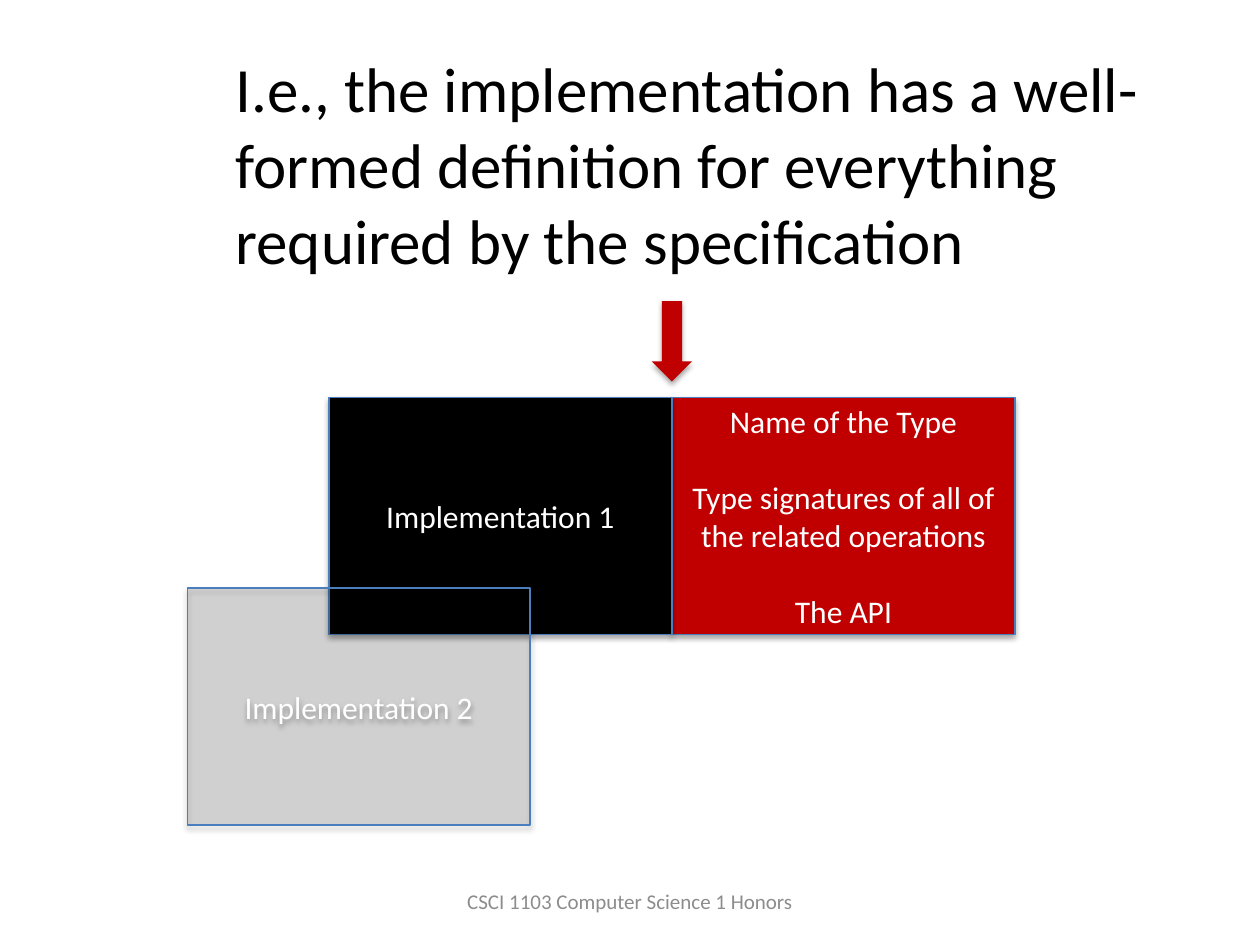
import pptx
import pptx.util
import pptx.dml.color
import pptx.enum.shapes
import pptx.enum.text
import pptx.oxml
import pptx.oxml.ns
import lxml.etree

Pt = pptx.util.Pt
SHAPE = pptx.enum.shapes.MSO_SHAPE
ALIGN = pptx.enum.text.PP_ALIGN
ANCHOR = pptx.enum.text.MSO_ANCHOR
qn = pptx.oxml.ns.qn
SHADOW = (
    '<a:outerShdw xmlns:a="http://schemas.openxmlformats.org/drawingml/2006/main"'
    ' blurRad="39370" dist="22860" dir="5400000" rotWithShape="0">'
    '<a:srgbClr val="000000"><a:alpha val="35000"/></a:srgbClr></a:outerShdw>'
)


def paint(fmt, color):
    """Give a fill or a font a solid colour."""
    if hasattr(fmt, "solid"):
        fmt.solid()
        fmt.fore_color.rgb = pptx.dml.color.RGBColor.from_string(color)
    else:
        fmt.color.rgb = pptx.dml.color.RGBColor.from_string(color)


def write(sp, lines, size, color, align, anchor, gap=0):
    """Write one paragraph per line, with a gap between paragraphs."""
    tf = sp.text_frame
    tf.word_wrap = True
    tf.vertical_anchor = anchor
    for i, line in enumerate(lines):
        p = tf.paragraphs[0] if i == 0 else tf.add_paragraph()
        p.alignment = align
        p.space_before = Pt(gap if i else 0)
        r = p.add_run()
        r.text = line
        r.font.name = "Calibri"
        r.font.size = Pt(size)
        paint(r.font, color)


prs = pptx.Presentation()
prs.slide_width, prs.slide_height = Pt(720), Pt(540)
s = prs.slides.add_slide(prs.slide_layouts[6])

# Footer
sp = s.shapes.add_textbox(Pt(246), Pt(500.5), Pt(228), Pt(28.8))
write(sp, ["CSCI 1103 Computer Science 1 Honors"], 12, "8C8C8C",
      ALIGN.CENTER, ANCHOR.MIDDLE)

# Specification, its two implementations, and the arrow to where they meet
box_w, box_h = 196, 135.5
seam, top = 384, 227
api = ["Name of the Type", "Type signatures of all of the related operations", "The API"]
blocks = [
    (SHAPE.RECTANGLE, seam, top, box_w, box_h, "C00000", 100, api),
    (SHAPE.RECTANGLE, seam - box_w, top, box_w, box_h, "000000", 100, ["Implementation 1"]),
    (SHAPE.RECTANGLE, 107, 336, box_w, box_h, "000000", 14, ["Implementation 2"]),
    (SHAPE.DOWN_ARROW, seam - 11.5, 172, 23, 46, "C00000", 100, []),
]
for kind, x, y, w, h, color, opacity, lines in blocks:
    sp = s.shapes.add_shape(kind, Pt(x), Pt(y), Pt(w), Pt(h))
    paint(sp.fill, color)
    if opacity < 100:
        clr = sp.fill._xPr.find(qn("a:solidFill"))[0]
        lxml.etree.SubElement(clr, qn("a:alpha")).set("val", str(opacity * 1000))
    if lines:
        paint(sp.line.fill, "4B7EBC")
        sp.line.width = Pt(0.75)
        write(sp, lines, 18, "FFFFFF", ALIGN.CENTER, ANCHOR.MIDDLE, gap=22)
    else:
        sp.line.fill.background()
    sp.shadow.inherit = False
    effects = sp._element.spPr.find(qn("a:effectLst"))
    effects.append(pptx.oxml.parse_xml(SHADOW))

# Statement
sp = s.shapes.add_textbox(Pt(127.5), Pt(25), Pt(585.5), Pt(138.5))
write(sp, ["I.e., the implementation has a well-formed definition for everything "
           "required by the specification"], 36, "000000", ALIGN.LEFT, ANCHOR.TOP)
sp.text_frame.auto_size = pptx.enum.text.MSO_AUTO_SIZE.SHAPE_TO_FIT_TEXT

prs.save("out.pptx")
